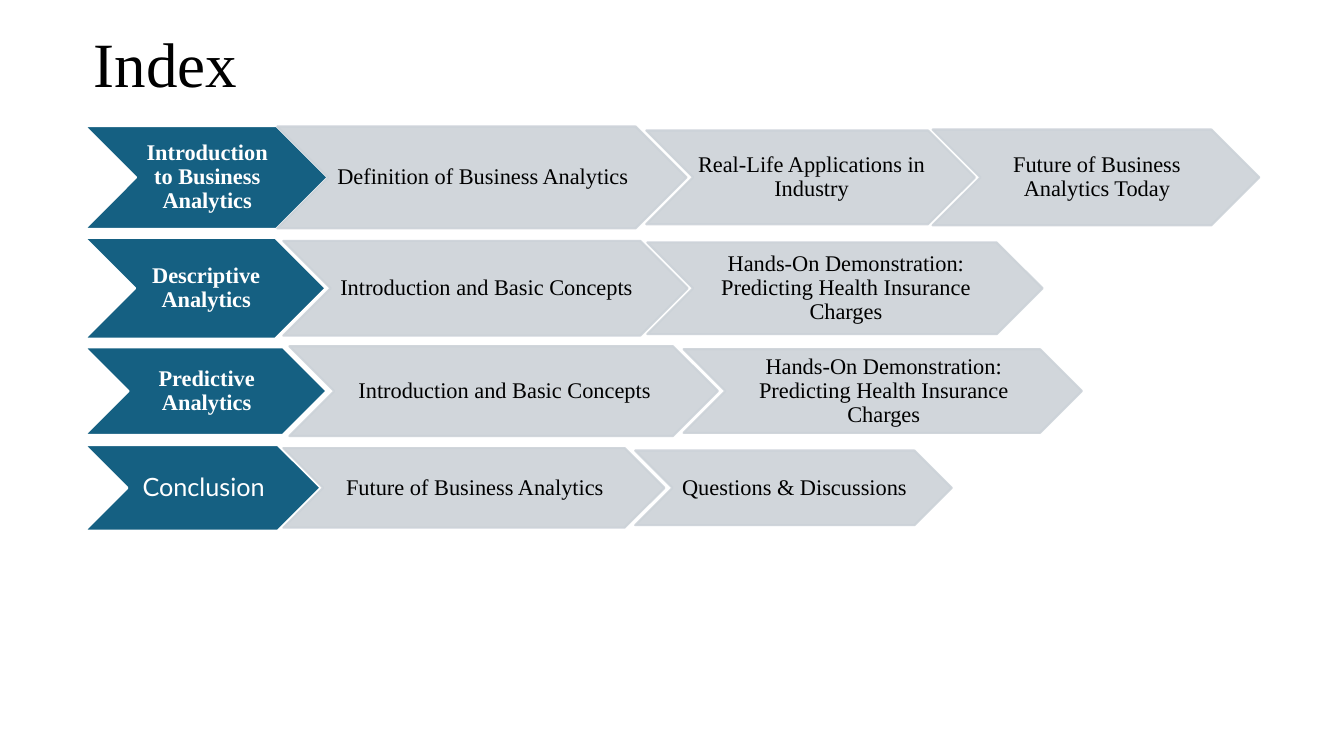
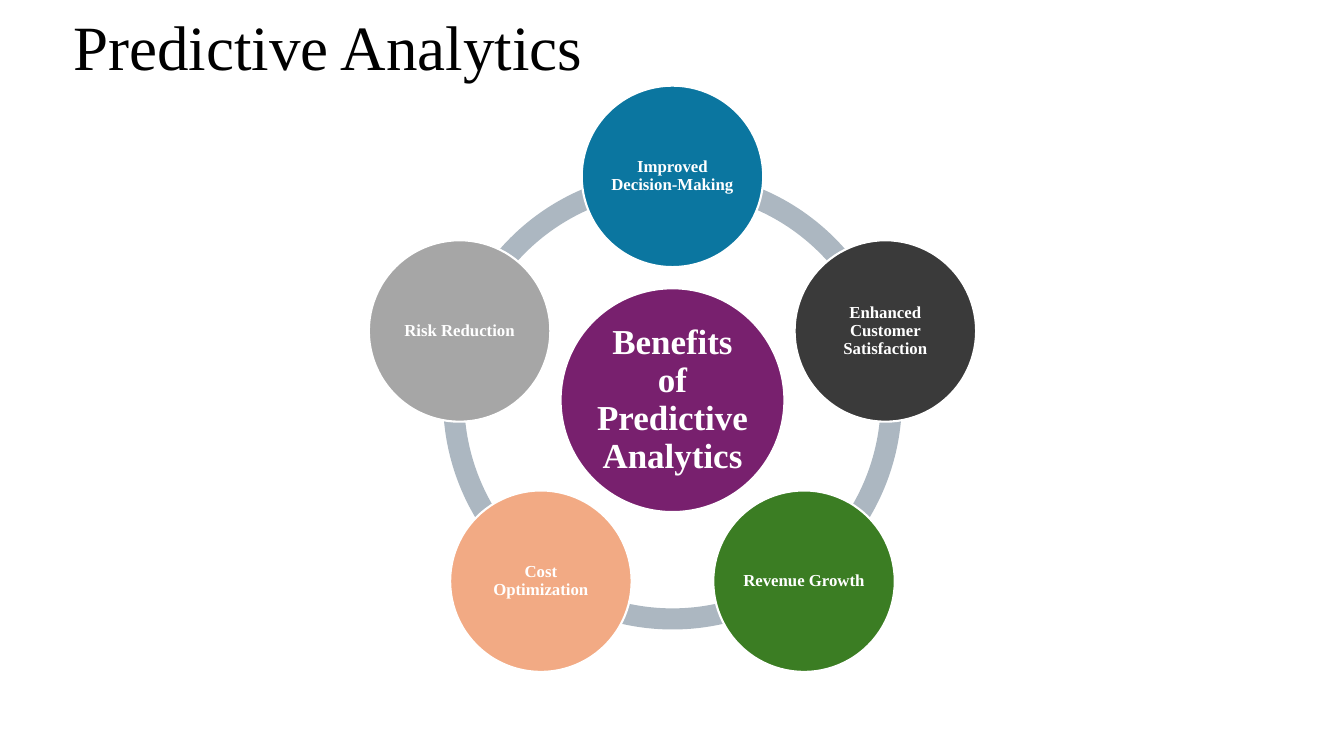
from math import cos, radians, sin

from pptx import Presentation
from pptx.dml.color import RGBColor
from pptx.enum.shapes import MSO_SHAPE as Shape
from pptx.enum.text import MSO_ANCHOR as Anchor, PP_ALIGN as Align
from pptx.oxml.ns import qn
from pptx.util import Emu, Pt

SERIF = "Times New Roman"
SANS = "Lato"
BLACK = RGBColor(0x00, 0x00, 0x00)
WHITE = RGBColor(0xFF, 0xFF, 0xFF)
TOPIC_BLUE = RGBColor(0x15, 0x60, 0x82)
STEP_GRAY = RGBColor(0xCC, 0xD2, 0xD8)
RING_GRAY = RGBColor(0xAC, 0xB7, 0xC1)
PURPLE = RGBColor(0x78, 0x20, 0x6E)
BLUE = RGBColor(0x0B, 0x76, 0xA0)
CHARCOAL = RGBColor(0x3A, 0x3A, 0x3A)
GREEN = RGBColor(0x3B, 0x7D, 0x23)
PEACH = RGBColor(0xF2, 0xAA, 0x84)
SILVER = RGBColor(0xA6, 0xA6, 0xA6)

TOPIC_LEFT = 84
INDEX_ROWS = [
    (176, ("Introduction to Business Analytics", 241, 102), [
        ("Definition of Business Analytics", 275, 406, 101),
        ("Real-Life Applications in Industry", 641, 326, 93),
        ("Future of Business Analytics Today", 925, 324, 95)]),
    (286, ("Descriptive Analytics", 239, 100), [
        ("Introduction and Basic Concepts", 281, 401, 94),
        ("Hands-On Demonstration: Predicting Health Insurance Charges",
         642, 392, 91)]),
    (388, ("Predictive Analytics", 240, 87), [
        ("Introduction and Basic Concepts", 287, 425, 89),
        ("Hands-On Demonstration: Predicting Health Insurance Charges",
         678, 395, 83)]),
    (484, ("Conclusion", 234, 85), [
        ("Future of Business Analytics", 281, 378, 79),
        ("Questions & Discussions", 630, 314, 74)]),
]

RING_X, RING_Y = 667, 397
RING_SIZE = 455
ORBIT = 222
HUB_SIZE = 222
BENEFIT_SIZE = 180
BENEFITS = [
    ("Improved Decision-Making", BLUE),
    ("Enhanced Customer Satisfaction", CHARCOAL),
    ("Revenue Growth", GREEN),
    ("Cost Optimization", PEACH),
    ("Risk Reduction", SILVER),
]


def px(length):
    return Emu(round(length * 9144))


def write(frame, text, size, color, font=SERIF, bold=False,
          align=Align.CENTER, insets=None):
    frame.word_wrap = True
    frame.vertical_anchor = Anchor.MIDDLE
    if insets:
        (frame.margin_left, frame.margin_top,
         frame.margin_right, frame.margin_bottom) = map(px, insets)
    frame.text = text
    paragraph = frame.paragraphs[0]
    paragraph.alignment = align
    paragraph.line_spacing = 0.9
    style = paragraph.runs[0].font
    style.name = font
    style.size = Pt(size)
    style.bold = bold
    style.color.rgb = color


def add_title(slide, text, left, top):
    title = slide.shapes.add_textbox(px(left), px(top), px(583), px(98))
    write(title.text_frame, text, 45, BLACK, align=Align.LEFT)


def add_centered(slide, preset, x, y, width, height, fill, line=None):
    shape = slide.shapes.add_shape(
        preset, px(x - width / 2), px(y - height / 2), px(width), px(height))
    shape.shadow.inherit = False
    shape.fill.solid()
    shape.fill.fore_color.rgb = fill
    if line is None:
        shape.line.fill.background()
    else:
        shape.line.color.rgb = line
        shape.line.width = Pt(1.5)
    return shape


def set_opacity(shape, percent):
    for color in shape.element.spPr.iter(qn("a:srgbClr")):
        alpha = color.makeelement(qn("a:alpha"), {"val": str(percent * 1000)})
        color.append(alpha)


def add_chevron(slide, text, left, middle, width, height, fill, line, **style):
    chevron = add_centered(slide, Shape.CHEVRON, left + width / 2, middle,
                           width, height, fill, line)
    write(chevron.text_frame, text, insets=(2, 1, 0, 1), **style)
    return chevron


def add_index_row(slide, middle, topic, steps):
    text, width, height = topic
    if text == "Conclusion":
        style = dict(size=18, font=SANS)
    else:
        style = dict(size=16, bold=True)
    add_chevron(slide, text, TOPIC_LEFT, middle, width, height,
                TOPIC_BLUE, WHITE, color=WHITE, **style)
    for text, left, width, height in steps:
        step = add_chevron(slide, text, left, middle, width, height,
                           STEP_GRAY, STEP_GRAY, color=BLACK, size=16)
        set_opacity(step, 90)


def add_ring_arc(slide, start, end):
    arc = add_centered(slide, Shape.BLOCK_ARC, RING_X, RING_Y,
                       RING_SIZE, RING_SIZE, RING_GRAY)
    arc.adjustments[0] = start % 360 * 0.6
    arc.adjustments[1] = end % 360 * 0.6
    arc.adjustments[2] = 0.046


def add_circle(slide, text, x, y, diameter, fill, size, inset):
    circle = add_centered(slide, Shape.OVAL, x, y, diameter, diameter,
                          fill, WHITE)
    write(circle.text_frame, text, size, WHITE, bold=True, insets=[inset] * 4)


def build_index(slide):
    add_title(slide, "Index", 83, 18)
    for middle, topic, steps in INDEX_ROWS:
        add_index_row(slide, middle, topic, steps)


def build_benefits(slide):
    add_title(slide, "Predictive Analytics", 63, 1)
    turn = 360 / len(BENEFITS)
    angles = [270 + turn * index for index in range(len(BENEFITS))]
    for angle in angles:
        add_ring_arc(slide, angle, angle + turn)
    add_circle(slide, "Benefits of Predictive Analytics", RING_X, RING_Y,
               HUB_SIZE, PURPLE, 25, 3)
    for angle, (benefit, fill) in zip(angles, BENEFITS):
        add_circle(slide, benefit,
                   RING_X + ORBIT * cos(radians(angle)),
                   RING_Y + ORBIT * sin(radians(angle)),
                   BENEFIT_SIZE, fill, 12, 2)


def main():
    deck = Presentation()
    deck.slide_width, deck.slide_height = px(1333), px(750)
    blank = deck.slide_layouts[6]
    for build in (build_index, build_benefits):
        build(deck.slides.add_slide(blank))
    deck.save("out.pptx")


if __name__ == "__main__":
    main()
